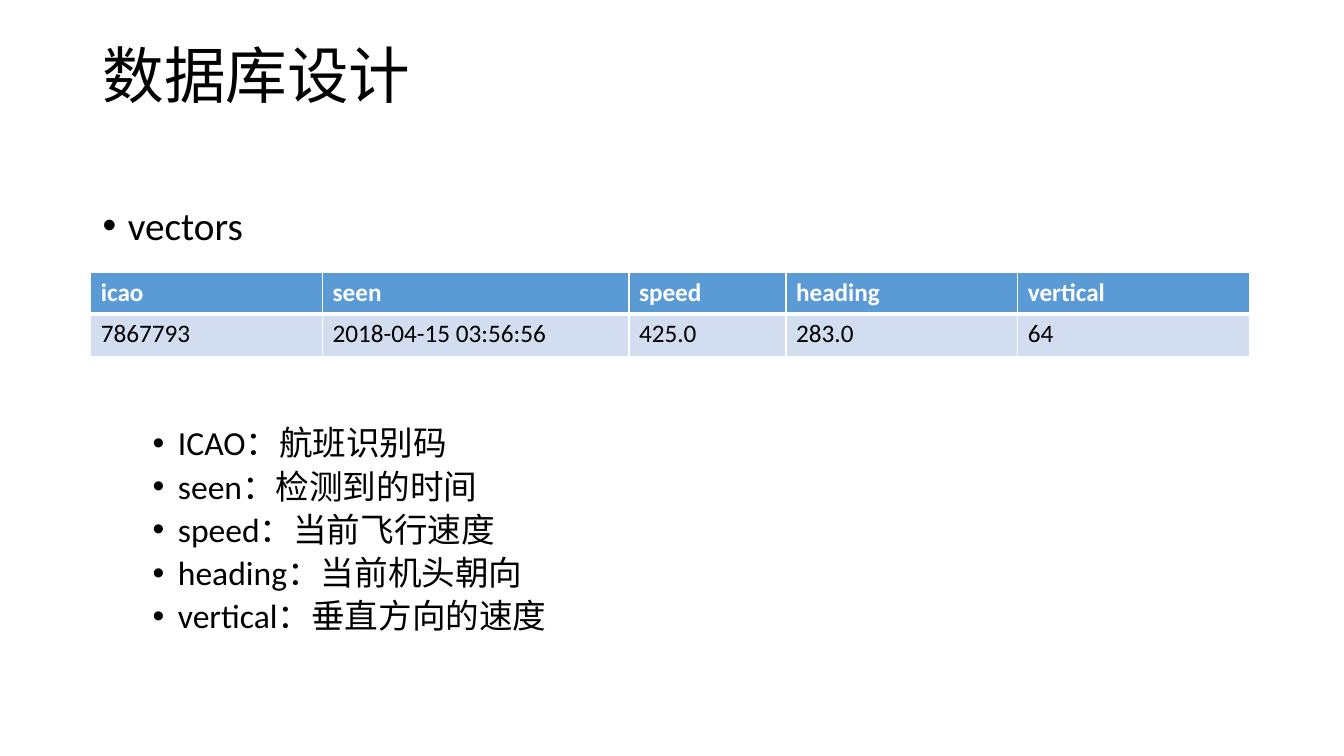
"""Build the database design slide with its vectors table."""
from dataclasses import dataclass

from lxml.etree import SubElement
from pptx import Presentation
from pptx.dml.color import RGBColor
from pptx.enum.text import MSO_ANCHOR, MSO_AUTO_SIZE, PP_ALIGN
from pptx.oxml.ns import qn
from pptx.util import Cm, Pt

BLACK = RGBColor(0x00, 0x00, 0x00)
WHITE = RGBColor(0xFF, 0xFF, 0xFF)
BLUE = RGBColor(0x5B, 0x9B, 0xD5)
PALE = RGBColor(0xD2, 0xDE, 0xEF)
FONT = "Calibri"


@dataclass(frozen=True)
class Item:
    text: str
    level: int = 1
    size: int = 24
    indent: float = 1.9
    before: int = 5


@dataclass(frozen=True)
class Row:
    cells: tuple
    height: float
    fill: RGBColor
    color: RGBColor
    bold: bool
    edges: tuple


ITEMS = (
    Item("vectors", level=0, size=28, indent=0.64, before=0),
    Item("ICAO：航班识别码", before=127),
    Item("seen：检测到的时间"),
    Item("speed：当前飞行速度"),
    Item("heading：当前机头朝向"),
    Item("vertical：垂直方向的速度"),
)
WIDTHS = (5.84, 7.72, 3.96, 5.84, 5.84)
ROWS = (
    Row(("icao", "seen", "speed", "heading", "vertical"), 1.04, BLUE, WHITE, True,
        (("lnL", 1), ("lnR", 1), ("lnT", 1), ("lnB", 3))),
    Row(("7867793", "2018-04-15 03:56:56", "425.0", "283.0", "64"), 1.07, PALE, BLACK, False,
        (("lnL", 1), ("lnR", 1), ("lnT", 3), ("lnB", 1))),
)


def place(shape, top: float, height: float):
    shape.left, shape.top = Cm(2.33), Cm(top)
    shape.width, shape.height = Cm(29.21), Cm(height)
    frame = shape.text_frame
    frame.word_wrap = True
    frame.auto_size = MSO_AUTO_SIZE.NONE
    frame.vertical_anchor = MSO_ANCHOR.TOP
    return frame


def write(para, text: str, size: int, color: RGBColor = BLACK, bold: bool = False) -> None:
    para.alignment = PP_ALIGN.LEFT
    run = para.add_run()
    run.text = text
    font = run.font
    font.name, font.size, font.bold = FONT, Pt(size), bold
    font.color.rgb = color


def bullet(para, item: Item) -> None:
    para.level = item.level
    props = para._p.get_or_add_pPr()
    props.set("marL", str(Cm(item.indent)))
    props.set("indent", str(-Cm(0.64)))
    SubElement(props, qn("a:buFont")).set("typeface", "Arial")
    SubElement(props, qn("a:buChar")).set("char", "•")
    para.line_spacing = 0.9
    para.space_before = Pt(item.before)
    para.space_after = Pt(0)
    write(para, item.text, item.size)


def border(cell, edges: tuple) -> None:
    props = cell._tc.get_or_add_tcPr()
    for side, width in edges:
        line = SubElement(props, qn(f"a:{side}"), w=str(Pt(width)))
        fill = SubElement(line, qn("a:solidFill"))
        SubElement(fill, qn("a:srgbClr")).set("val", str(WHITE))


def grid(slide) -> None:
    high = sum(row.height for row in ROWS)
    table = slide.shapes.add_table(
        len(ROWS), len(WIDTHS), Cm(2.29), Cm(6.87), Cm(sum(WIDTHS)), Cm(high)).table
    table.horz_banding = False
    for col, width in zip(table.columns, WIDTHS):
        col.width = Cm(width)
    for line, row in zip(table.rows, ROWS):
        line.height = Cm(row.height)
        for cell, text in zip(line.cells, row.cells):
            border(cell, row.edges)
            cell.fill.solid()
            cell.fill.fore_color.rgb = row.fill
            write(cell.text_frame.paragraphs[0], text, 18, row.color, row.bold)


def main() -> None:
    deck = Presentation()
    deck.slide_width, deck.slide_height = Cm(33.87), Cm(19.05)
    slide = deck.slides.add_slide(deck.slide_layouts[1])
    title = place(slide.shapes.title, 1.01, 3.68).paragraphs[0]
    title.line_spacing = 0.9
    write(title, "数据库设计", 44)
    body = place(slide.placeholders[1], 5.08, 12.09)
    for rank, item in enumerate(ITEMS):
        bullet(body.add_paragraph() if rank else body.paragraphs[0], item)
    grid(slide)
    deck.save("out.pptx")


if __name__ == "__main__":
    main()
